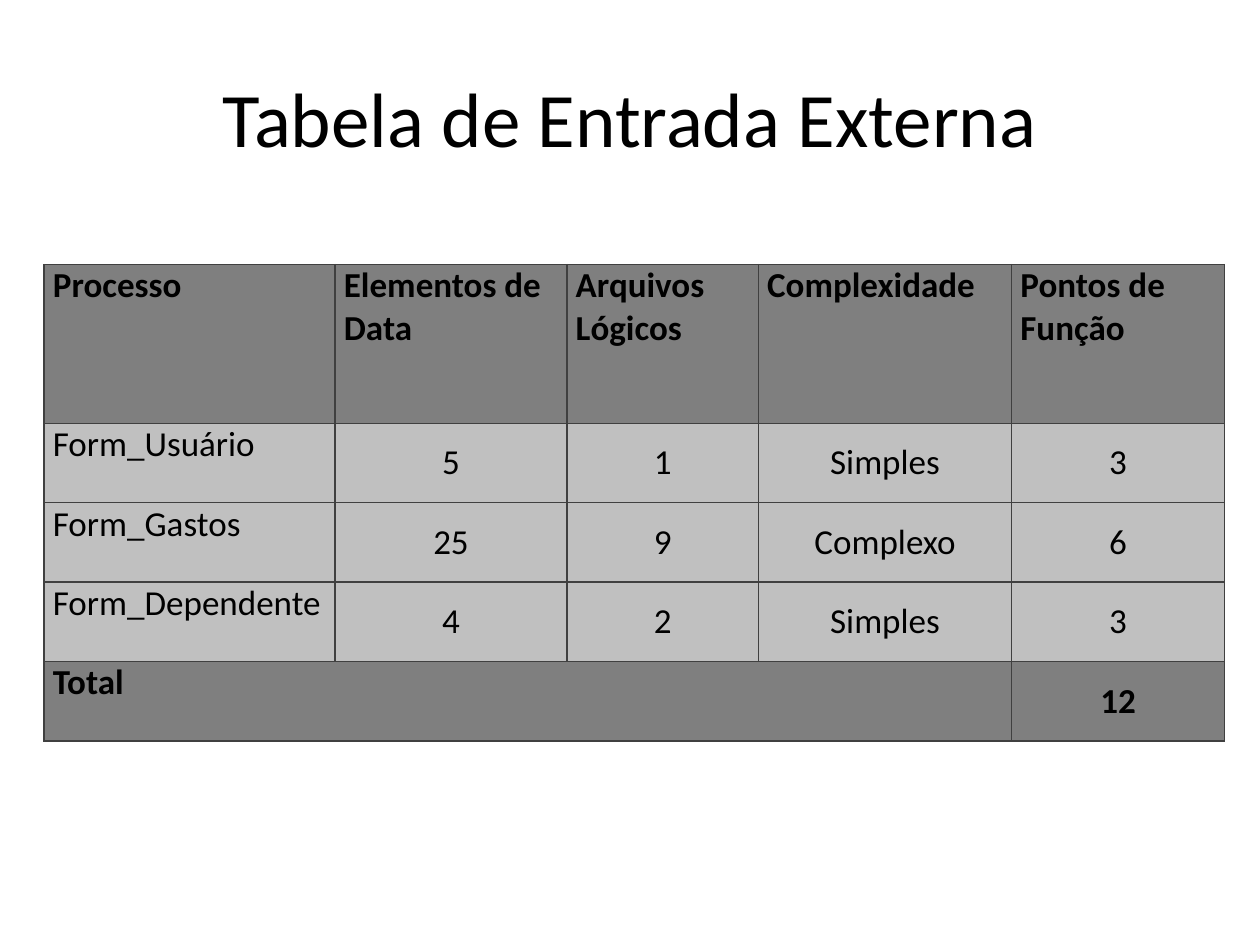
from lxml import etree
from pptx import Presentation
from pptx.dml.color import RGBColor
from pptx.enum.text import MSO_ANCHOR, PP_ALIGN
from pptx.oxml.ns import qn
from pptx.util import Inches, Pt

BLACK = RGBColor(0x00, 0x00, 0x00)
BORDER = RGBColor(0x40, 0x40, 0x40)
DARK = RGBColor(0x7F, 0x7F, 0x7F)
LIGHT = RGBColor(0xC0, 0xC0, 0xC0)

COLUMN_WIDTHS = [2.31, 1.84, 1.52, 2.01, 1.69]
ROW_HEIGHTS = [1.26, 0.63, 0.63, 0.63, 0.63]
ROWS = [
    ["Processo", "Elementos de Data", "Arquivos Lógicos", "Complexidade", "Pontos de Função"],
    ["Form_Usuário", "5", "1", "Simples", "3"],
    ["Form_Gastos", "25", "9", "Complexo", "6"],
    ["Form_Dependente", "4", "2", "Simples", "3"],
    ["Total", "", "", "", "12"],
]


class SlideBuilder:
    """Holds the text style and the slide being built."""

    font = "Calibri"

    def __init__(self, slide):
        self.slide = slide

    def add_text(self, frame, text, size, bold, align):
        paragraph = frame.paragraphs[0]
        paragraph.alignment = align
        run = paragraph.add_run()
        run.text = text
        run.font.name = self.font
        run.font.size = Pt(size)
        run.font.bold = bold
        run.font.color.rgb = BLACK

    def title(self, text, left, top, width, height):
        shape = self.slide.shapes.title
        shape.left, shape.top = Inches(left), Inches(top)
        shape.width, shape.height = Inches(width), Inches(height)
        shape.text_frame.vertical_anchor = MSO_ANCHOR.MIDDLE
        self.add_text(shape.text_frame, text, 44, False, PP_ALIGN.CENTER)

    def borders(self, cell):
        properties = cell._tc.get_or_add_tcPr()
        for position, side in enumerate(("lnL", "lnR", "lnT", "lnB")):
            line = etree.Element(qn(f"a:{side}"), w=str(Pt(1)))
            fill = etree.SubElement(line, qn("a:solidFill"))
            etree.SubElement(fill, qn("a:srgbClr"), val=str(BORDER))
            properties.insert(position, line)

    def cell(self, cell, text, fill, bold, centered):
        cell.fill.solid()
        cell.fill.fore_color.rgb = fill
        cell.margin_left = cell.margin_right = Inches(0.07)
        cell.margin_top = cell.margin_bottom = 0
        cell.vertical_anchor = MSO_ANCHOR.MIDDLE if centered else MSO_ANCHOR.TOP
        self.borders(cell)
        if text:
            align = PP_ALIGN.CENTER if centered else PP_ALIGN.LEFT
            self.add_text(cell.text_frame, text, 20, bold, align)

    def table(self, rows, left, top, widths, heights):
        table = self.slide.shapes.add_table(
            len(rows), len(widths), Inches(left), Inches(top),
            Inches(sum(widths)), Inches(sum(heights))).table
        for column, width in zip(table.columns, widths):
            column.width = Inches(width)
        for row, height in zip(table.rows, heights):
            row.height = Inches(height)
        last = len(rows) - 1
        for r, values in enumerate(rows):
            strong = r in (0, last)
            for c, value in enumerate(values):
                self.cell(table.cell(r, c), value, DARK if strong else LIGHT,
                          strong, r > 0 and c > 0)
        table.cell(last, 0).merge(table.cell(last, len(widths) - 2))


presentation = Presentation()
presentation.slide_width, presentation.slide_height = Inches(10), Inches(7.5)
builder = SlideBuilder(presentation.slides.add_slide(presentation.slide_layouts[5]))
builder.title("Tabela de Entrada Externa", 0.5, 0.3, 9, 1.25)
builder.table(ROWS, 0.35, 2.1, COLUMN_WIDTHS, ROW_HEIGHTS)
presentation.save("out.pptx")
